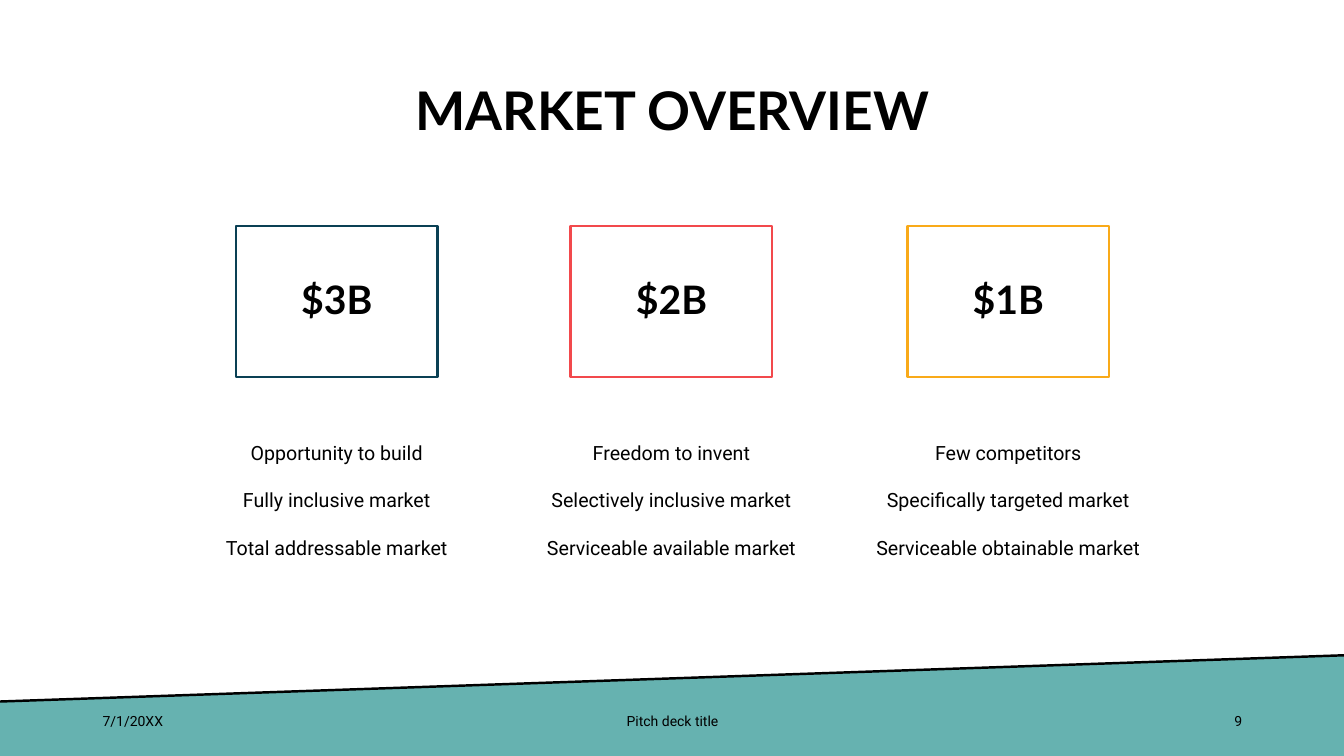
from lxml import etree
from pptx import Presentation
from pptx.dml.color import RGBColor
from pptx.enum.shapes import MSO_CONNECTOR, MSO_SHAPE
from pptx.enum.text import MSO_ANCHOR, MSO_AUTO_SIZE, PP_ALIGN
from pptx.oxml.ns import qn
from pptx.util import Inches, Pt

BLACK = "000000"
TEAL = "66B2B0"
HEADING_FONT = "Lato"
BODY_FONT = "Roboto"
BAND_TOP_LEFT = (-0.01, 6.96)
BAND_TOP_RIGHT = (13.35, 6.5)
BAND_BOTTOM = [(13.35, 7.5), (0, 7.53)]
BOX_WIDTH = 2
LIST_WIDTH = 3

MARKETS = [
    (3.34, "0A4054", "$3B",
     ["Opportunity to build", "Fully inclusive market", "Total addressable market"]),
    (6.66, "F2494C", "$2B",
     ["Freedom to invent", "Selectively inclusive market", "Serviceable available market"]),
    (10, "F9AA19", "$1B",
     ["Few competitors", "Specifically targeted market", "Serviceable obtainable market"]),
]

FOOTERS = [
    (0.92, 3, "7/1/20XX", PP_ALIGN.LEFT),
    (4.42, 4.5, "Pitch deck title", PP_ALIGN.CENTER),
    (9.42, 3, "9", PP_ALIGN.RIGHT),
]


def color(hex_string):
    return RGBColor.from_string(hex_string)


def write_text(shape, lines, size, font=BODY_FONT, bold=False, align=PP_ALIGN.CENTER,
               anchor=MSO_ANCHOR.MIDDLE, line_spacing=None, space_before=0):
    frame = shape.text_frame
    frame.word_wrap = True
    frame.auto_size = MSO_AUTO_SIZE.NONE
    frame.vertical_anchor = anchor
    for index, line in enumerate(lines):
        paragraph = frame.add_paragraph() if index else frame.paragraphs[0]
        paragraph.alignment = align
        paragraph.line_spacing = line_spacing
        paragraph.space_before = Pt(space_before if index else 0)
        run = paragraph.add_run()
        run.text = line
        run.font.name = font
        run.font.size = Pt(size)
        run.font.bold = bold
        run.font.color.rgb = color(BLACK)


def add_text(slide, left, top, width, height, lines, **text_format):
    box = slide.shapes.add_textbox(Inches(left), Inches(top), Inches(width), Inches(height))
    write_text(box, lines, **text_format)


def add_footer_band(slide):
    points = [(Inches(x), Inches(y)) for x, y in [BAND_TOP_LEFT, BAND_TOP_RIGHT, *BAND_BOTTOM]]
    builder = slide.shapes.build_freeform(*points[0])
    builder.add_line_segments(points[1:], close=True)
    band = builder.convert_to_shape()
    band.shadow.inherit = False
    band.fill.solid()
    band.fill.fore_color.rgb = color(TEAL)
    band.line.fill.background()

    start, end = points[1], points[0]
    edge = slide.shapes.add_connector(MSO_CONNECTOR.STRAIGHT, *start, *end)
    edge.line.color.rgb = color(BLACK)
    edge.line.width = Pt(1.75)
    etree.SubElement(edge._element.spPr, qn("a:effectLst"))


def add_title(slide, text):
    title = slide.shapes.title
    title.left, title.top = Inches(0.92), Inches(0.4)
    title.width, title.height = Inches(11.5), Inches(1.45)
    write_text(title, [text], size=38, font=HEADING_FONT, bold=True, line_spacing=0.9)


def add_value_box(slide, center, outline, value):
    box = slide.shapes.add_shape(MSO_SHAPE.RECTANGLE, Inches(center - BOX_WIDTH / 2),
                                 Inches(2.24), Inches(BOX_WIDTH), Inches(1.5))
    box.shadow.inherit = False
    box.fill.background()
    box.line.color.rgb = color(outline)
    box.line.width = Pt(1.75)
    write_text(box, [value], size=28, font=HEADING_FONT, bold=True, line_spacing=0.9)


def main():
    presentation = Presentation()
    presentation.slide_width = Inches(13.33)
    presentation.slide_height = Inches(7.5)
    slide = presentation.slides.add_slide(presentation.slide_layouts[5])

    add_footer_band(slide)
    add_title(slide, "MARKET OVERVIEW")
    for center, outline, value, points in MARKETS:
        add_value_box(slide, center, outline, value)
        add_text(slide, center - LIST_WIDTH / 2, 4.22, LIST_WIDTH, 1.75, points, size=14,
                 anchor=MSO_ANCHOR.TOP, line_spacing=Pt(24), space_before=10)
    for left, width, text, align in FOOTERS:
        add_text(slide, left, 6.95, width, 0.4, [text], size=10, align=align)

    presentation.save("out.pptx")


if __name__ == "__main__":
    main()
